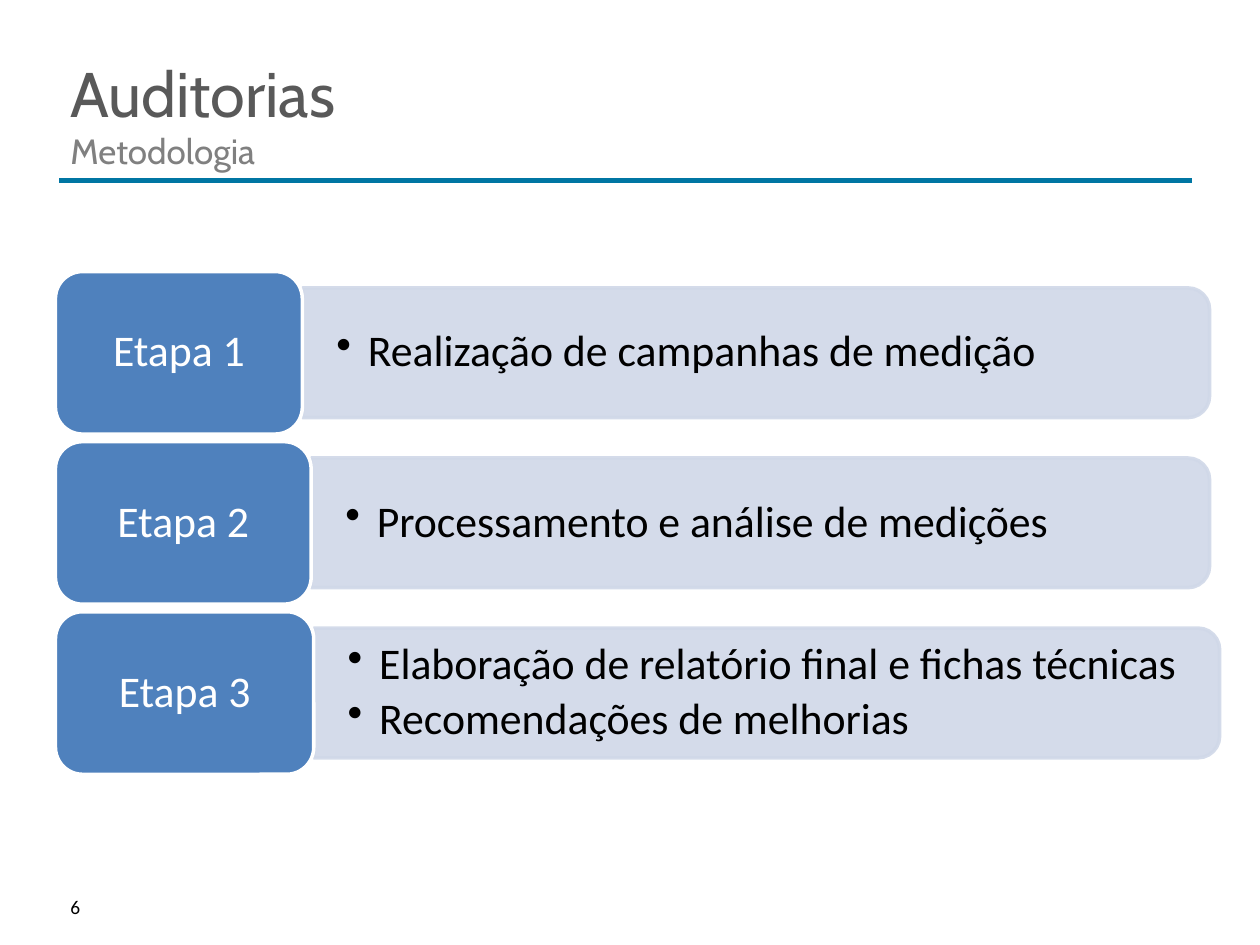
from dataclasses import dataclass
from lxml.etree import SubElement as Sub
from pptx import Presentation
from pptx.dml.color import RGBColor as RGB
from pptx.enum.shapes import MSO_CONNECTOR as Link, MSO_SHAPE as Form
from pptx.enum.text import MSO_ANCHOR as Anchor, PP_ALIGN as Align
from pptx.oxml.ns import qn
from pptx.util import Inches, Pt


@dataclass(frozen=True)
class Theme:
    white: str = "FFFFFF"
    black: str = "000000"
    title: str = "595959"
    sub: str = "808080"
    rule: str = "0076A3"
    tab: str = "4F81BD"
    bar: str = "D0D8E8"
    head: str = "Cabin"
    body: str = "Calibri"
    big: float = 36
    mid: float = 25
    small: float = 20
    tiny: float = 11.1


class Deck:
    cols, rows = 100, 75

    def __init__(self, theme):
        self.theme = theme
        self.prs = Presentation()
        self.prs.slide_width, self.prs.slide_height = Inches(10), Inches(7.5)
        self.slide = self.prs.slides.add_slide(self.prs.slide_layouts[6])

    def grid(self, x, y, *size):
        dx = self.prs.slide_width / self.cols
        dy = self.prs.slide_height / self.rows
        return [round(n * d) for n, d in zip((x, y, *size), (dx, dy, dx, dy))]

    def label(self, shape, lines, font, size, color, anchor=Anchor.TOP,
              pad=(0.1, 0.05), align=Align.LEFT, lead=1, bullet=False):
        frame = shape.text_frame
        frame.word_wrap = True
        frame.vertical_anchor = anchor
        frame.margin_left = frame.margin_right = Inches(pad[0])
        frame.margin_top = frame.margin_bottom = Inches(pad[1])
        for i, line in enumerate(lines):
            para = frame.paragraphs[0] if i == 0 else frame.add_paragraph()
            para.text = line
            para.alignment = align
            para.line_spacing = lead
            if bullet:
                para.space_after = Pt(size * 0.18)
                props = para._p.get_or_add_pPr()
                props.set("marL", str(Inches(0.25)))
                props.set("indent", str(-Inches(0.25)))
                Sub(props, qn("a:buChar"), char="•")
            para.font.name = font
            para.font.size = Pt(size)
            para.font.color.rgb = RGB.from_string(color)

    def text(self, area, lines, *look, **more):
        box = self.slide.shapes.add_textbox(*self.grid(*area))
        self.label(box, lines, *look, **more)

    def shape(self, form, area, fill, line):
        item = self.slide.shapes.add_shape(form, *self.grid(*area))
        item.shadow.inherit = False
        item.fill.solid()
        item.fill.fore_color.rgb = RGB.from_string(fill)
        item.line.color.rgb = RGB.from_string(line)
        item.line.width = Pt(2)
        return item

    def rule(self, x, y, end):
        line = self.slide.shapes.add_connector(
            Link.STRAIGHT, *self.grid(x, y), *self.grid(end, y))
        line.line.color.rgb = RGB.from_string(self.theme.rule)
        line.line.width = Pt(3)
        Sub(line._element.spPr, qn("a:effectLst"))

    def bar(self, x, mid, end, lines):
        t, long, thick = self.theme, end - x, 10.3
        area = ((x + end - thick) / 2, mid - long / 2, thick, long)
        item = self.shape(Form.ROUND_2_SAME_RECTANGLE, area, t.bar, t.bar)
        item.rotation = 90
        for tone in item._element.spPr.iter(qn("a:srgbClr")):
            Sub(tone, qn("a:alpha"), val="90000")
        self.text((x, mid - 4.65, long - 0.5, 9.3), lines, t.body, t.mid,
                  t.black, anchor=Anchor.MIDDLE, pad=(0.27, 0.14), lead=0.9,
                  bullet=True)

    def tab(self, x, mid, end, name):
        t, high = self.theme, 12.9
        area = (x, mid - high / 2, end - x, high)
        item = self.shape(Form.ROUNDED_RECTANGLE, area, t.tab, t.white)
        self.label(item, [name], t.body, t.mid, t.white, Anchor.MIDDLE,
                   align=Align.CENTER, lead=0.9)


def main():
    t = Theme()
    deck = Deck(t)
    left, wide = 4.6, 90
    deck.text((left, 70.9, 6.5, 2.6), ["6"], t.body, t.tiny, t.black, lead=0.8)
    deck.rule(4.7, 14.3, 94.6)
    steps = [
        (24, 96, ["Realização de campanhas de medição"]),
        (24.7, 96, ["Processamento e análise de medições"]),
        (24.9, 96.8, ["Elaboração de relatório final e fichas técnicas",
                      "Recomendações de melhorias"]),
    ]
    for i, (split, end, lines) in enumerate(steps):
        mid = 28 + 13.5 * i
        deck.bar(split, mid, end, lines)
        deck.tab(4.4, mid, split, f"Etapa {i + 1}")
    deck.text((left, 3.8, wide, 5.1), ["Auditorias"], t.head, t.big, t.title)
    deck.text((left, 9.8, wide, 3.6), ["Metodologia"], t.head, t.small, t.sub)
    deck.prs.save("out.pptx")


if __name__ == "__main__":
    main()
